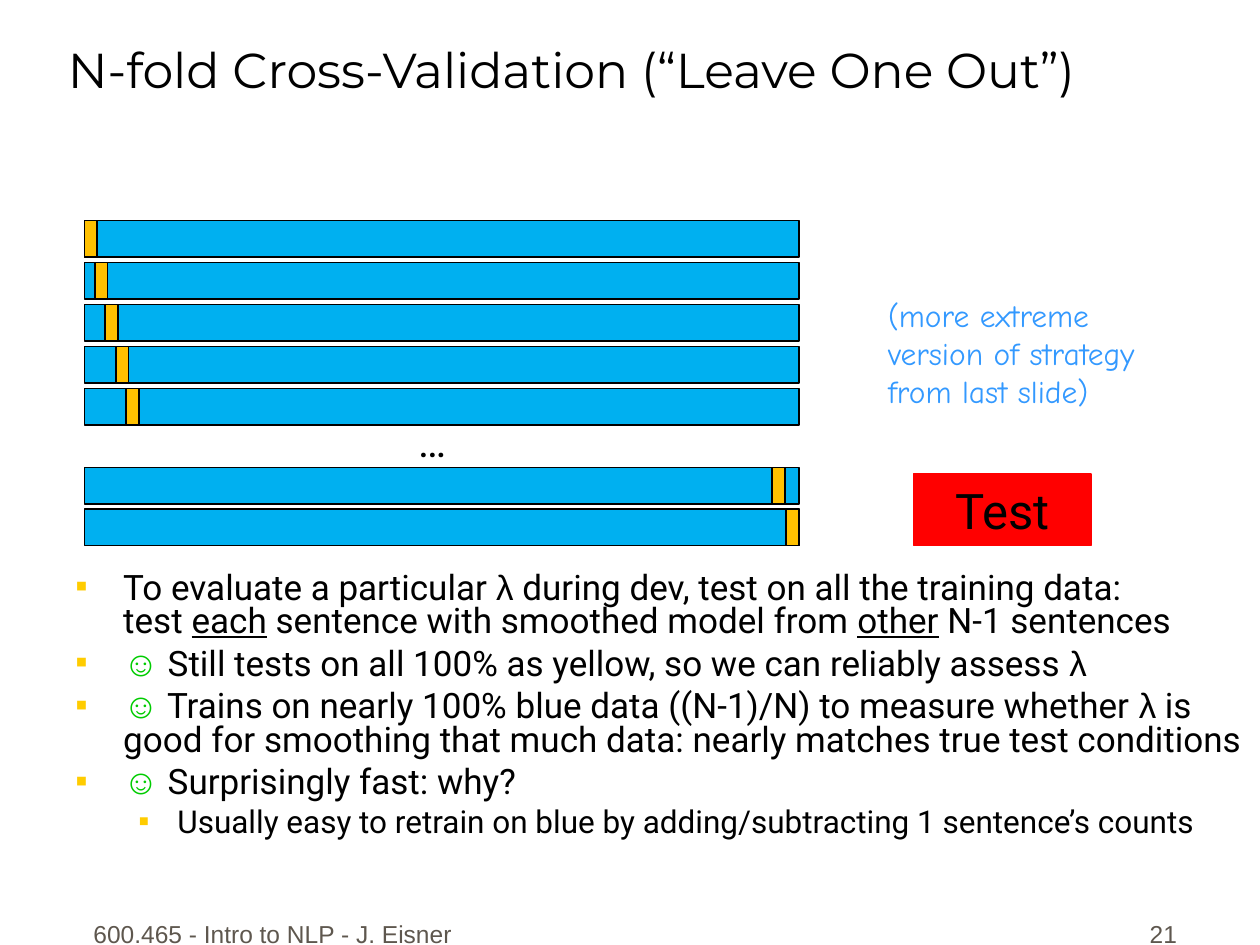
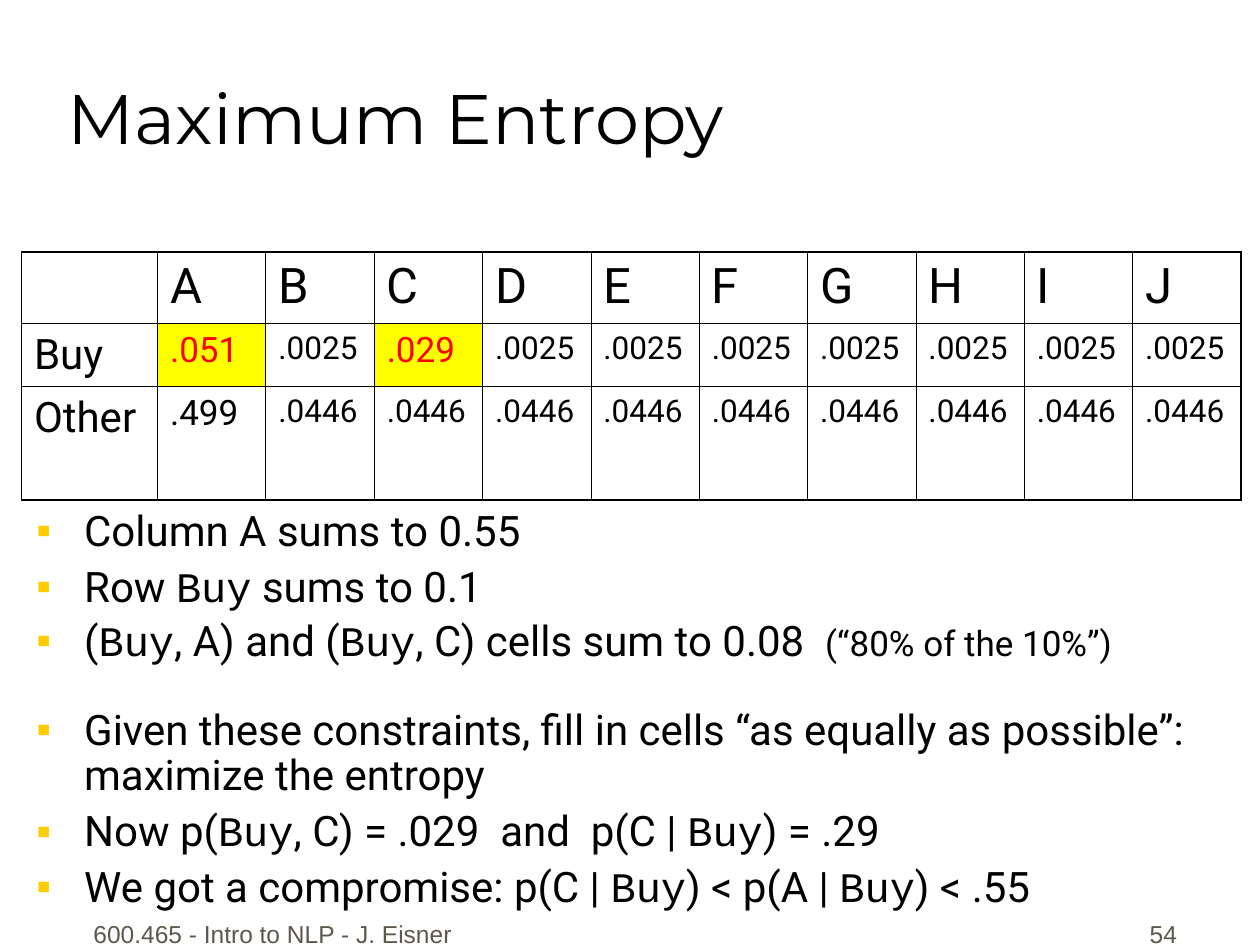
from lxml.etree import SubElement
from pptx import Presentation
from pptx.dml.color import RGBColor
from pptx.enum.shapes import MSO_SHAPE
from pptx.enum.text import MSO_ANCHOR, PP_ALIGN
from pptx.oxml.ns import qn
from pptx.util import Inches, Pt

BLACK = RGBColor(0x00, 0x00, 0x00)
GREY = RGBColor(0x5E, 0x57, 0x4E)
GOLD = RGBColor(0xFF, 0xCC, 0x00)
BLUE = RGBColor(0x00, 0xB0, 0xF0)
AMBER = RGBColor(0xFF, 0xC0, 0x00)
SKY = RGBColor(0x33, 0x99, 0xFF)
GREEN = RGBColor(0x00, 0xCC, 0x00)
RED = RGBColor(0xFF, 0x00, 0x00)
YELLOW = RGBColor(0xFF, 0xFF, 0x00)

LAMBDA = ("λ", {"name": "Arial"})
SMILE = ("☺", {"name": "Arial", "color": GREEN, "bold": True})
BUY = ("Buy", {"name": "Courier New"})
LINE = {"underline": True}


def write(frame, lines, size, name="Roboto", color=BLACK, hang=None, **form):
    """Append lines of runs; hang is the left margin and hanging indent of a bullet."""
    for line in lines:
        par = frame.paragraphs[0]
        if par.runs:
            par = frame.add_paragraph()
        for key, value in form.items():
            setattr(par, key, value)
        if hang:
            props = par._p.get_or_add_pPr()
            props.set("marL", str(Inches(hang[0])))
            props.set("indent", str(-Inches(hang[1])))
            tint = SubElement(props, qn("a:buClr"))
            SubElement(tint, qn("a:srgbClr"), val=str(GOLD))
            SubElement(props, qn("a:buFont"), typeface="Arial")
            SubElement(props, qn("a:buChar"), char="▪")
        for part in line:
            text, extra = (part, {}) if isinstance(part, str) else part
            look = {"size": Pt(size), "name": name, "color": color, **extra}
            for i, piece in enumerate(text.split("\n")):
                if i:
                    par.add_line_break()
                run = par.add_run()
                run.text = piece
                for key, value in look.items():
                    if key == "color":
                        run.font.color.rgb = value
                    else:
                        setattr(run.font, key, value)


def place(slide, spot, fill=None, edge=BLACK, anchor=MSO_ANCHOR.TOP, wrap=True):
    """Add a rectangle, or a text box if there is no fill; return its text frame."""
    spot = [Inches(n) for n in spot]
    if fill is None:
        shape = slide.shapes.add_textbox(*spot)
    else:
        shape = slide.shapes.add_shape(MSO_SHAPE.RECTANGLE, *spot)
        shape.shadow.inherit = False
        shape.fill.solid()
        shape.fill.fore_color.rgb = fill
        shape.line.color.rgb = edge
        shape.line.width = Pt(1)
    frame = shape.text_frame
    frame.word_wrap = wrap
    frame.vertical_anchor = anchor
    return frame


deck = Presentation()
deck.slide_width, deck.slide_height = Inches(10), Inches(7.5)

# Shared title and footer
pages = []
for title, size, width, height, number in [
    ("N-fold Cross-Validation (“Leave One Out”)", 28, 9.39, 0.77, "21"),
    ("Maximum Entropy", 40, 8.5, 1.25, "54"),
]:
    page = deck.slides.add_slide(deck.slide_layouts[6])
    pages.append(page)
    frame = place(page, (0.44, 0.06, width, height), anchor=MSO_ANCHOR.BOTTOM)
    write(frame, [[title]], size, "Montserrat")
    for text, left, wide, align in [
        ("600.465 - Intro to NLP - J. Eisner", 0.58, 3.17, PP_ALIGN.CENTER),
        (number, 7.36, 2.08, PP_ALIGN.RIGHT),
    ]:
        frame = place(page, (left, 7.08, wide, 0.5), anchor=MSO_ANCHOR.BOTTOM)
        write(frame, [[text]], 14, "Arial", GREY, alignment=align, space_before=Pt(8.8))
folds, entropy = pages

# Slide 1: one bar per fold, with the held-out sentence in amber
bars = [(1.75 + i / 3, 0.67 + i / 12) for i in range(5)]
bars += [(3.71, 6.13), (4.04, 6.24)]
for top, left in bars:
    place(folds, (0.67, top, 5.67, 0.29), BLUE)
    place(folds, (left, top, 0.1, 0.29), AMBER)

write(place(folds, (3.22, 3.25, 0.46, 0.5), wrap=False), [["…"]], 24)
note = "(more extreme\nversion of strategy\nfrom last slide)"
write(place(folds, (6.95, 2.3, 2.17, 1), wrap=False), [[note]], 18, "Comic Neue", SKY)
test = place(folds, (7.25, 3.76, 1.41, 0.57), RED, RED, MSO_ANCHOR.MIDDLE)
write(test, [["Test"]], 28, alignment=PP_ALIGN.CENTER)

body = place(folds, (0.5, 4.5, 9.5, 2.92))
write(body, [
    ["To evaluate a particular ", LAMBDA,
     " during dev, test on all the training data:\ntest ", ("each", LINE),
     " sentence with smoothed model from ", ("other", LINE), " N-1 sentences"],
    [SMILE, " Still tests on all 100% as yellow, so we can reliably assess ", LAMBDA],
    [SMILE, " Trains on nearly 100% blue data ((N-1)/N) to measure whether ", LAMBDA,
     " is good for smoothing that much data: nearly matches true test conditions"],
    [SMILE, " Surprisingly fast: why?"],
], 20, hang=(0.38, 0.38), line_spacing=0.8, space_before=Pt(5))
write(body, [
    ["Usually easy to retrain on blue by adding/subtracting 1 sentence’s counts"],
], 18, hang=(0.81, 0.31), level=1, line_spacing=0.8, space_before=Pt(4.5))

# Slide 2: table of joint probabilities
rows = [
    ["", *"ABCDEFGHIJ"],
    ["Buy", ".051", ".0025", ".029"] + [".0025"] * 7,
    ["Other", ".499"] + [".0446"] * 9,
]
spot = [Inches(n) for n in (0.17, 2, 9.67, 1.97)]
table = entropy.shapes.add_table(3, 11, *spot).table
table.first_row = table.horz_banding = False
for c, column in enumerate(table.columns):
    column.width = Inches(0.86 if c else 1.08)
for row, height in zip(table.rows, (0.57, 0.5, 0.9)):
    row.height = Inches(height)
for r, row in enumerate(rows):
    for c, word in enumerate(row):
        cell = table.cell(r, c)
        outer = {"lnL": c == 0, "lnR": c == 10, "lnT": r == 0, "lnB": r == 2}
        for side, thick in outer.items():
            width = str(Pt(1.08 if thick else 0.45))
            edge = SubElement(cell._tc.get_or_add_tcPr(), qn("a:" + side), w=width)
            SubElement(SubElement(edge, qn("a:solidFill")), qn("a:srgbClr"), val=str(BLACK))
        bought = word in (".051", ".029")
        if bought:
            cell.fill.solid()
            cell.fill.fore_color.rgb = YELLOW
        else:
            cell.fill.background()
        if word:
            size = 28 if r == 0 else 24 if c == 0 else 20 if len(word) < 5 else 18
            write(cell.text_frame, [[word]], size, color=RED if bought else BLACK,
                  space_before=Pt(size / 4))

form = {"size": 24, "hang": (0.38, 0.38), "line_spacing": 0.9}
sums = place(entropy, (0.19, 4, 9.56, 1.42))
write(sums, [
    ["Column A sums to 0.55"],
    ["Row ", BUY, " sums to 0.1"],
], **form, space_before=Pt(6))
write(sums, [
    ["(", BUY, ", A) and (", BUY, ", C) cells sum to 0.08  ",
     ("(“80% of the 10%”)", {"size": Pt(20)})],
], **form, space_before=Pt(5))
write(place(entropy, (0.19, 5.58, 9.56, 1.58)), [
    ["Given these constraints, fill in cells “as equally as possible”: maximize the entropy"],
    ["Now p(", BUY, ", C) = .029  and  p(C | ", BUY, ") = .29"],
    ["We got a compromise: p(C | ", BUY, ") < p(A | ", BUY, ") < .55"],
], **form, space_before=Pt(6))

deck.save("out.pptx")
